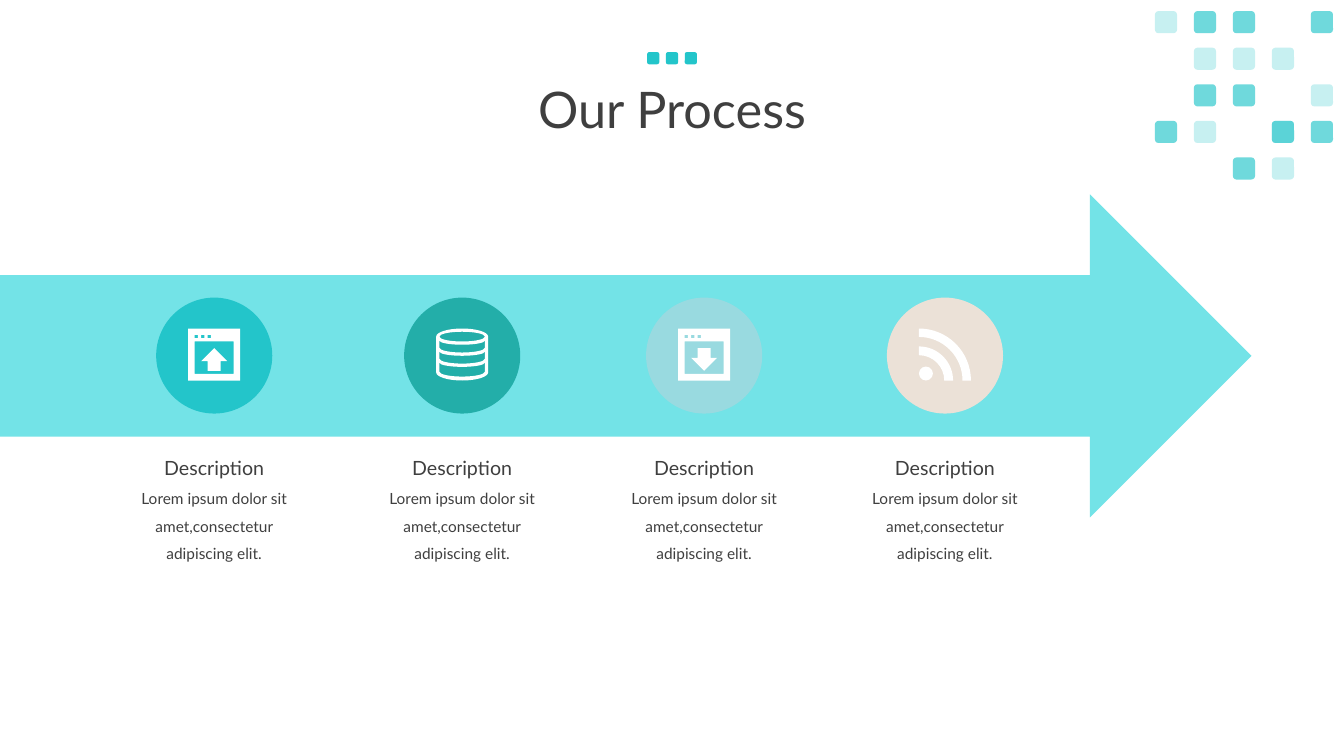
import dataclasses
import math
import typing

import pptx
import pptx.dml.color
import pptx.enum.shapes
import pptx.enum.text
import pptx.oxml
import pptx.oxml.ns
import pptx.util

KIND = pptx.enum.shapes.MSO_SHAPE
FIT = pptx.enum.text.MSO_AUTO_SIZE
SPACE = 'xmlns:a="http://schemas.openxmlformats.org/drawingml/2006/main"'
WIDE, HIGH = pptx.util.Inches(13.33), pptx.util.Inches(7.5)
CELL = WIDE * 0.0387 / 16
TEAL, WHITE, INK = "23C5CA", "FFFFFF", "3F3F3F"
TINTS = {"l": (25,), "h": (65,), "b": (65, 25)}
MOSAIC = ("lhh.h", ".lll.", ".hh.l", "hl.bh", "..hl.")

Point = tuple[float, float]
Ring = list[tuple[Point, ...]]


@dataclasses.dataclass
class Box:
    """A frame in percent of the slide's width and height."""
    left: float
    top: float
    width: float
    height: float

    def emu(self) -> tuple[int, int, int, int]:
        """Return left, top, width and height in EMU."""
        return (round(self.left * WIDE / 100), round(self.top * HIGH / 100),
                round(self.width * WIDE / 100), round(self.height * HIGH / 100))


@dataclasses.dataclass
class Step:
    """One stage: its centre in percent of the width, colour and icon."""
    mid: float
    color: str
    icon: typing.Callable[[typing.Any, int, int], None]


def hue(code: str) -> pptx.dml.color.RGBColor:
    """Turn a hex string into a colour."""
    return pptx.dml.color.RGBColor.from_string(code)


def paint(shape: typing.Any, code: str, tint: int = 100) -> None:
    """Give a shape a flat fill of some opacity, with no line or shadow."""
    shape.shadow.inherit = False
    shape.line.fill.background()
    shape.fill.solid()
    shape.fill.fore_color.rgb = hue(code)
    if tint < 100:
        node = next(shape.element.iter(pptx.oxml.ns.qn("a:srgbClr")))
        node.append(pptx.oxml.parse_xml(f'<a:alpha {SPACE} val="{tint * 1000}"/>'))


def block(slide: typing.Any, kind: typing.Any, box: Box, code: str,
          tint: int = 100) -> None:
    """Add a filled preset shape."""
    paint(slide.shapes.add_shape(kind, *box.emu()), code, tint)


def write(frame: typing.Any, words: str, *, size: float, space: float = 1,
          wrap: bool = True, fit: typing.Any = FIT.SHAPE_TO_FIT_TEXT) -> None:
    """Fill a text frame with one centred paragraph."""
    frame.word_wrap, frame.auto_size = wrap, fit
    para = frame.paragraphs[0]
    para.alignment = pptx.enum.text.PP_ALIGN.CENTER
    para.line_spacing = space
    run = para.add_run()
    run.text = words
    run.font.name, run.font.size = "Lato", pptx.util.Pt(size)
    run.font.color.rgb = hue(INK)


def arc(x: float, y: float, wide: float, high: float,
        start: int, end: int) -> Ring:
    """Return an ellipse's arc as a start point and quarter curves."""
    turn = math.copysign(90, end - start)
    pull = math.copysign(0.5523, turn)
    ring: Ring = [((x + wide * math.cos(math.radians(start)),
                    y + high * math.sin(math.radians(start))),)]
    for count in range(abs(end - start) // 90):
        a = math.radians(start + turn * count)
        b = math.radians(start + turn * (count + 1))
        units = ((math.cos(a) - pull * math.sin(a), math.sin(a) + pull * math.cos(a)),
                 (math.cos(b) + pull * math.sin(b), math.sin(b) - pull * math.cos(b)),
                 (math.cos(b), math.sin(b)))
        ring.append(tuple((x + wide * u, y + high * v) for u, v in units))
    return ring


def lines(*points: Point) -> Ring:
    """Return a ring of straight sides."""
    return [(point,) for point in points]


def rect(x: float, y: float, wide: float, high: float) -> Ring:
    """Return the sides of a rectangle."""
    return lines((x, y), (x + wide, y), (x + wide, y + high), (x, y + high))


def trace(slide: typing.Any, left: int, top: int, *rings: Ring) -> None:
    """Draw one white outline with holes, on the icon's grid of cells."""
    scaled = [[(round(x * CELL), round(y * CELL)) for part in ring for x, y in part]
              for ring in rings]
    pen = slide.shapes.build_freeform(*scaled[0][0])
    for count, points in enumerate(scaled):
        if count:
            pen.move_to(*points[0])
        pen.add_line_segments(points[1:], close=True)
    shape = pen.convert_to_shape(left, top)
    sides = iter(list(shape.element.iter(pptx.oxml.ns.qn("a:lnTo"))))
    for part in (part for ring in rings for part in ring[1:]):
        group = [next(sides) for _ in part]
        if len(group) == 3:
            curve = pptx.oxml.parse_xml(f"<a:cubicBezTo {SPACE}/>")
            group[0].addprevious(curve)
            for side in group:
                curve.append(side[0])
                side.getparent().remove(side)
    paint(shape, WHITE)


def window(slide: typing.Any, left: int, top: int, tip: int, neck: int,
           tail: int) -> None:
    """Draw a window that holds an upright arrow."""
    holes = [rect(x, 2, 1, 1) for x in (2, 4, 6)]
    trace(slide, left, top, rect(0, 0, 16, 16), *holes, rect(2, 4, 12, 10))
    trace(slide, left, top, lines((8, tip), (12, neck), (10, neck), (10, tail),
                                  (6, tail), (6, neck), (4, neck)))


def send(slide: typing.Any, left: int, top: int) -> None:
    """Draw the upload icon."""
    window(slide, left, top, 6, 10, 13)


def fetch(slide: typing.Any, left: int, top: int) -> None:
    """Draw the download icon."""
    window(slide, left, top, 13, 9, 6)


def store(slide: typing.Any, left: int, top: int) -> None:
    """Draw the database icon."""
    shell = arc(8, 2.5, 8, 2.5, 180, 360) + arc(8, 13.5, 8, 2.5, 0, 180)
    bands = [arc(8, y, 7, 1.3, 180, 0) + arc(8, y + deep, 7, 1.5, 0, 180)
             for y, deep in ((3.7, 2.2), (7.1, 2.2), (10.5, 2.8))]
    trace(slide, left, top, shell, arc(8, 2.5, 7, 1.5, 0, 360), *bands)


def feed(slide: typing.Any, left: int, top: int) -> None:
    """Draw the feed icon."""
    side = round(4.3 * CELL)
    dot = slide.shapes.add_shape(
        KIND.OVAL, left, round(top + 16 * CELL) - side, side, side)
    paint(dot, WHITE)
    for far, near in ((10.5, 7.8), (16, 13.4)):
        trace(slide, left, top, arc(0, 16, far, far, -90, 0)
              + arc(0, 16, near, near, 0, -90))


STEPS = (Step(15.94, TEAL, send), Step(34.39, "23AEA9", store),
         Step(52.39, "99DAE0", fetch), Step(70.31, "EBE1D7", feed))


def stage(slide: typing.Any, step: Step) -> None:
    """Draw a step's disc, icon, heading and words."""
    block(slide, KIND.OVAL, Box(step.mid - 4.32, 39.37, 8.64, 15.34), step.color)
    step.icon(slide, round(step.mid * WIDE / 100 - 8 * CELL),
              round(0.469 * HIGH - 8 * CELL))
    head = slide.shapes.add_textbox(*Box(step.mid - 4.69, 59.65, 9.38, 4.53).emu())
    write(head.text_frame, "Description", size=14, wrap=False)
    body = slide.shapes.add_textbox(*Box(step.mid - 7.43, 62.8, 14.86, 12).emu())
    write(body.text_frame, "Lorem ipsum dolor sit amet,consectetur adipiscing elit.",
          size=11, space=1.5)


def main() -> None:
    """Build the slide and save it."""
    deck = pptx.Presentation()
    deck.slide_width, deck.slide_height = WIDE, HIGH
    slide = deck.slides.add_slide(deck.slide_layouts[5])
    title = slide.shapes.title
    title.left, title.top, title.width, title.height = Box(6.9, 5.2, 86.2, 19.33).emu()
    title.text_frame.vertical_anchor = pptx.enum.text.MSO_ANCHOR.MIDDLE
    write(title.text_frame, "Our Process", size=36, space=0.9, fit=FIT.NONE)
    for row, line in enumerate(MOSAIC):
        for col, mark in enumerate(line):
            for tint in TINTS.get(mark, ()):
                spot = Box(85.93 + 2.9 * col, 1.47 + 4.84 * row, 1.65, 2.93)
                block(slide, KIND.ROUNDED_RECTANGLE, spot, TEAL, tint)
    for col in range(3):
        spot = Box(48.15 + 1.4 * col, 6.9, 0.9, 1.6)
        block(slide, KIND.ROUNDED_RECTANGLE, spot, TEAL)
    block(slide, KIND.NOTCHED_RIGHT_ARROW, Box(-6.08, 25.7, 99.2, 42.75), "73E3E7")
    for step in STEPS:
        stage(slide, step)
    deck.save("out.pptx")


if __name__ == "__main__":
    main()
